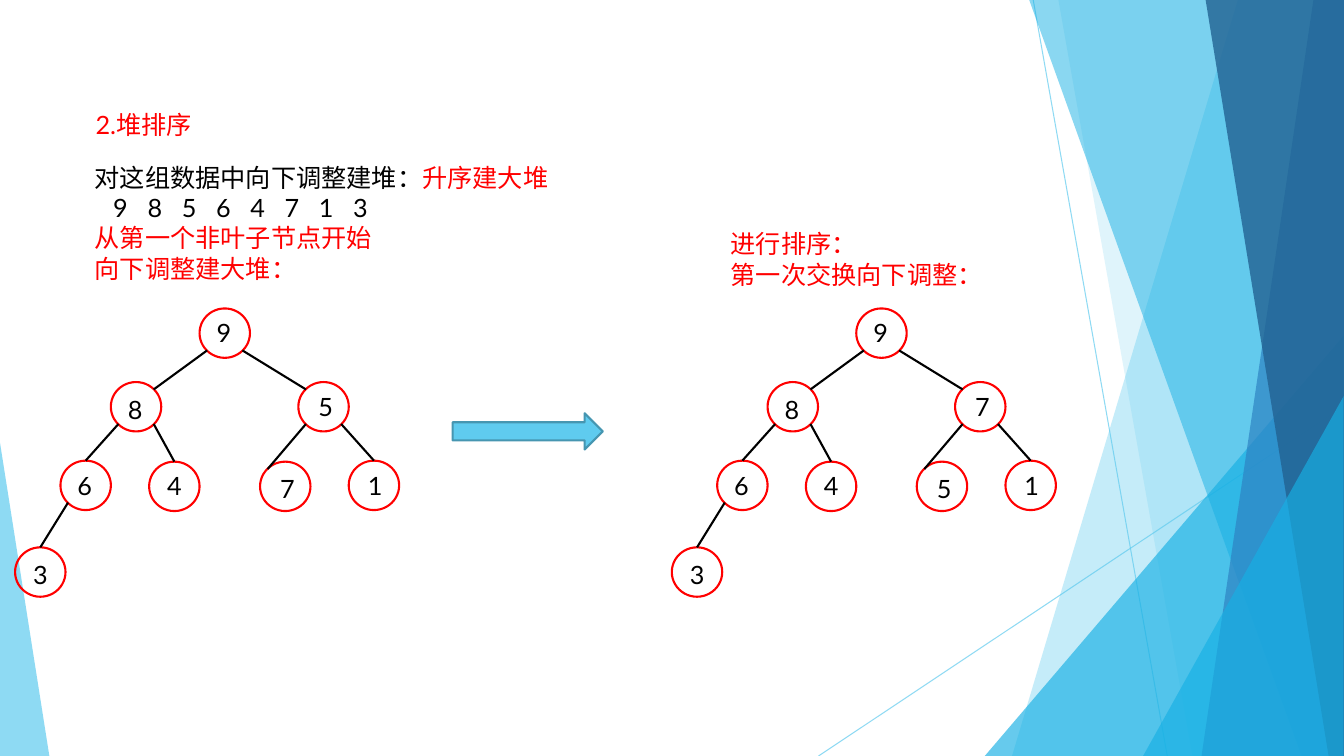
from lxml import etree
from pptx import Presentation
from pptx import util as u
from pptx.dml.color import RGBColor
from pptx.enum import shapes, text
from pptx.oxml import ns

COLORS = {
    "red": "FF0000", "black": "000000", "sky": "5FCBEF", "azure": "17B0E4",
    "blue": "2E83C3", "navy": "226292", "steel": "4696B1",
}
COLUMNS, ROWS = 133.33, 75
SHAPE = shapes.MSO_SHAPE

FACET_LINES = [((102.5, 0), (115.8, 75)), ((133.3, 40.3), (81.2, 75))]
FACETS = [
    ("band", 122.8, 100.4, "sky", 36),
    ("band", 105, 118.3, "sky", 20),
    ("triangle", (97.7, 33.3, 35.6, 41.7), 1, "azure", 66),
    ("band", 102.1, 129.1, "azure", 50),
    ("band", 130.3, 119.2, "blue", 70),
    ("band", 119.6, 131.8, "navy", 80),
    ("triangle", (113.4, 39.3, 19.9, 35.7), 1, "azure", 66),
    ("triangle", (0, 43.9, 4.9, 31.1), 0, "sky", 70),
]

NODE_WIDTH, NODE_HEIGHT = 5, 4.9
NODES = {
    "root": (19.8, 30.6, 0.7, 0.4),
    "left": (11, 37.9, 0.7, 0.7),
    "right": (29.6, 37.9, 1, 0.4),
    "left_left": (6, 45.7, 0.7, 0.5),
    "left_right": (14.8, 45.8, 0.8, 0.4),
    "right_left": (25.8, 45.8, 1, 0.7),
    "right_right": (34.6, 45.7, 0.9, 0.5),
    "last": (1.5, 54.3, 0.8, 0.7),
}
EDGES = [
    ("root", "lower_left", "left", "upper_right"),
    ("root", "lower_right", "right", "upper_left"),
    ("left", "lower_left", "left_left", "top"),
    ("left", "lower_right", "left_right", "top"),
    ("left_left", "lower_left", "last", "top"),
    ("right", "lower_left", "right_left", "upper_left"),
    ("right", "lower_right", "right_right", "top"),
]
SITES = {
    "top": (0.5, 0), "upper_left": (0.15, 0.15), "upper_right": (0.85, 0.15),
    "lower_left": (0.15, 0.85), "lower_right": (0.85, 0.85),
}
TREES = [(0, "98564713"), (65.15, "98764513")]


class Painter:
    def __init__(self, deck):
        self.slide = deck.slides.add_slide(deck.slide_layouts[6])
        self.column = deck.slide_width / COLUMNS
        self.row = deck.slide_height / ROWS
        self.font = {"name": "Lato", "size": u.Pt(18)}
        self.frame = {"word_wrap": True, "auto_size": text.MSO_AUTO_SIZE.SHAPE_TO_FIT_TEXT}

    def place(self, *lengths):
        units = (self.column, self.row) * 2
        return [u.Emu(round(length * unit)) for length, unit in zip(lengths, units)]

    def paint(self, target, color, opacity=100):
        target.solid()
        target.fore_color.rgb = RGBColor.from_string(COLORS[color])
        if opacity < 100:
            for swatch in target._xPr.iter(ns.qn("a:srgbClr")):
                etree.SubElement(swatch, ns.qn("a:alpha"), val=str(opacity * 1000))

    def finish(self, shape, fill=None, opacity=100, outline=None):
        shape.shadow.inherit = False
        if fill:
            self.paint(shape.fill, fill, opacity)
        else:
            shape.fill.background()
        if outline:
            self.paint(shape.line.fill, outline)
            shape.line.width = u.Pt(1.5)
        else:
            shape.line.fill.background()

    def shape(self, kind, area, adjust=None, **style):
        shape = self.slide.shapes.add_shape(kind, *self.place(*area))
        if adjust is not None:
            shape.adjustments[0] = adjust
        self.finish(shape, **style)

    def band(self, top, bottom, **style):
        corners = [(top, 0), (COLUMNS, 0), (COLUMNS, ROWS), (bottom, ROWS)]
        points = [self.place(*corner) for corner in corners]
        builder = self.slide.shapes.build_freeform(*points[0])
        builder.add_line_segments(points[1:], close=True)
        self.finish(builder.convert_to_shape(), **style)

    def line(self, start, end, color="black", width=1.5, opacity=100):
        line = self.slide.shapes.add_connector(
            shapes.MSO_CONNECTOR.STRAIGHT, *self.place(*start, *end))
        self.paint(line.line.fill, color, opacity)
        line.line.width = u.Pt(width)
        etree.SubElement(line._element.spPr, ns.qn("a:effectLst"))

    def text(self, area, paragraphs):
        box = self.slide.shapes.add_textbox(*self.place(*area))
        for name, value in self.frame.items():
            setattr(box.text_frame, name, value)
        for index, spans in enumerate(paragraphs):
            para = box.text_frame.add_paragraph() if index else box.text_frame.paragraphs[0]
            for words, color in spans:
                span = para.add_run()
                span.text = words
                for name, value in self.font.items():
                    setattr(span.font, name, value)
                span.font.color.rgb = RGBColor.from_string(COLORS[color])
        return box

    def tabs(self, para, first, step, count):
        stops = etree.SubElement(para._p.get_or_add_pPr(), ns.qn("a:tabLst"))
        for index in range(count):
            position = self.place(first + index * step)[0]
            etree.SubElement(stops, ns.qn("a:tab"), pos=str(position), algn="l")

    def tree(self, shift, values):
        for left, top, _, _ in NODES.values():
            self.shape(SHAPE.OVAL, (left + shift, top, NODE_WIDTH, NODE_HEIGHT), outline="red")
        for parent, start, child, end in EDGES:
            self.line(self.site(parent, start, shift), self.site(child, end, shift))
        for (left, top, across, down), value in zip(NODES.values(), values):
            self.text((left + shift + across, top + down, 3.4, 4), [[(value, "black")]])

    def site(self, node, name, shift):
        left, top = NODES[node][:2]
        across, down = SITES[name]
        return left + shift + across * NODE_WIDTH, top + down * NODE_HEIGHT


def main():
    deck = Presentation()
    deck.slide_width, deck.slide_height = u.Inches(13.33), u.Inches(7.5)
    painter = Painter(deck)

    for start, end in FACET_LINES:
        painter.line(start, end, "sky", 0.75, 70)
    for kind, first, second, color, opacity in FACETS:
        if kind == "band":
            painter.band(first, second, fill=color, opacity=opacity)
        else:
            painter.shape(SHAPE.ISOSCELES_TRIANGLE, first, second, fill=color, opacity=opacity)

    painter.text((8.5, 10.4, 30.9, 4), [[("2.堆排序", "red")]])
    numbers = "98564713"
    intro = painter.text((8.4, 15.6, 47.3, 13.1), [
        [("对这组数据中向下调整建堆：", "black"), ("升序建大堆", "red")],
        [("".join("\t" + number for number in numbers), "black")],
        [("从第一个非叶子节点开始", "red")],
        [("向下调整建大堆：", "red")],
    ])
    painter.tabs(intro.text_frame.paragraphs[1], 1.85, 3.4, len(numbers))
    painter.text((71.5, 22.2, 30.8, 7.1), [
        [("进行排序：", "red")],
        [("第一次交换向下调整：", "red")],
    ])

    for shift, values in TREES:
        painter.tree(shift, values)
    painter.shape(SHAPE.RIGHT_ARROW, (44.9, 41, 14.9, 3.6), fill="sky", outline="steel")

    deck.save("out.pptx")


if __name__ == "__main__":
    main()
